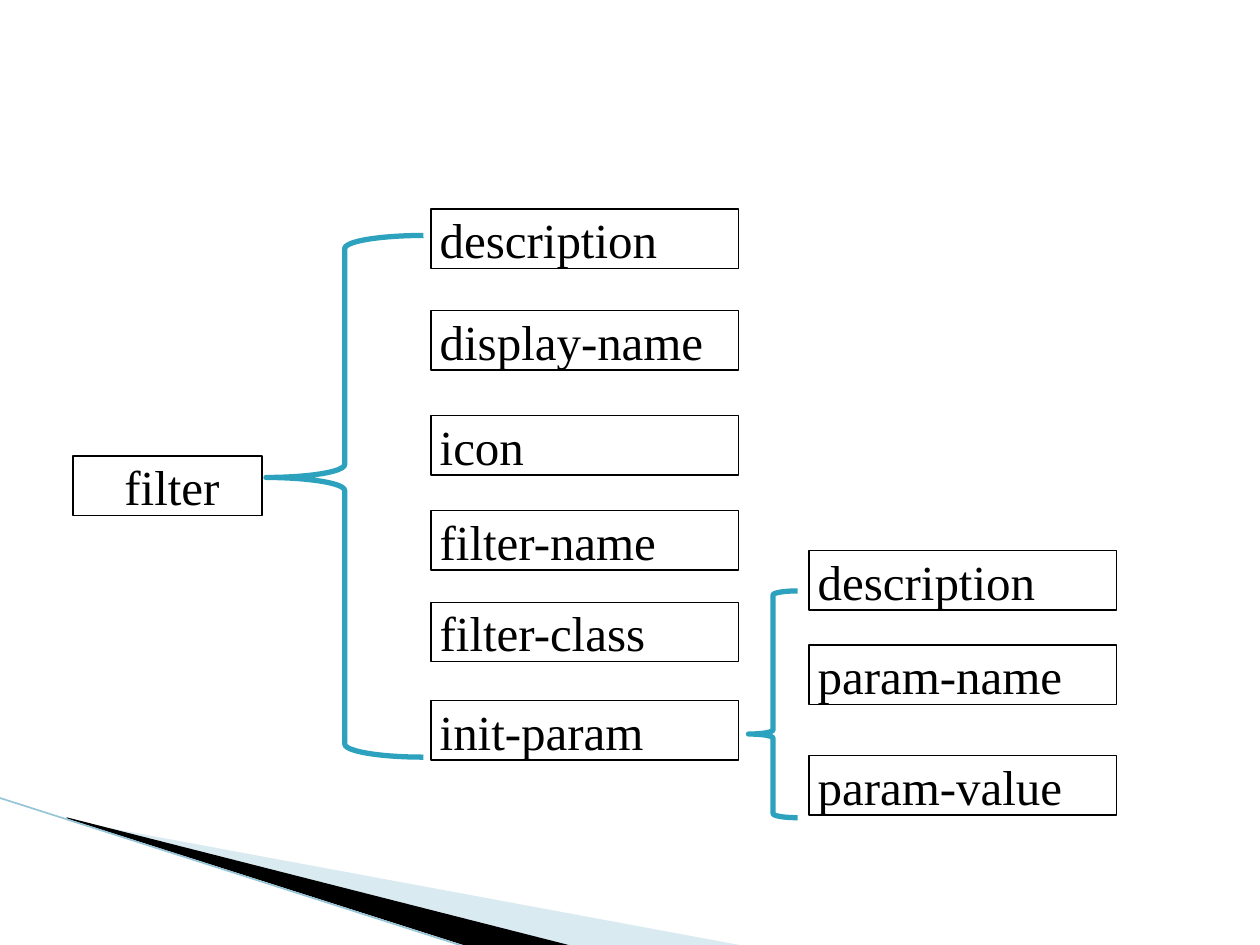
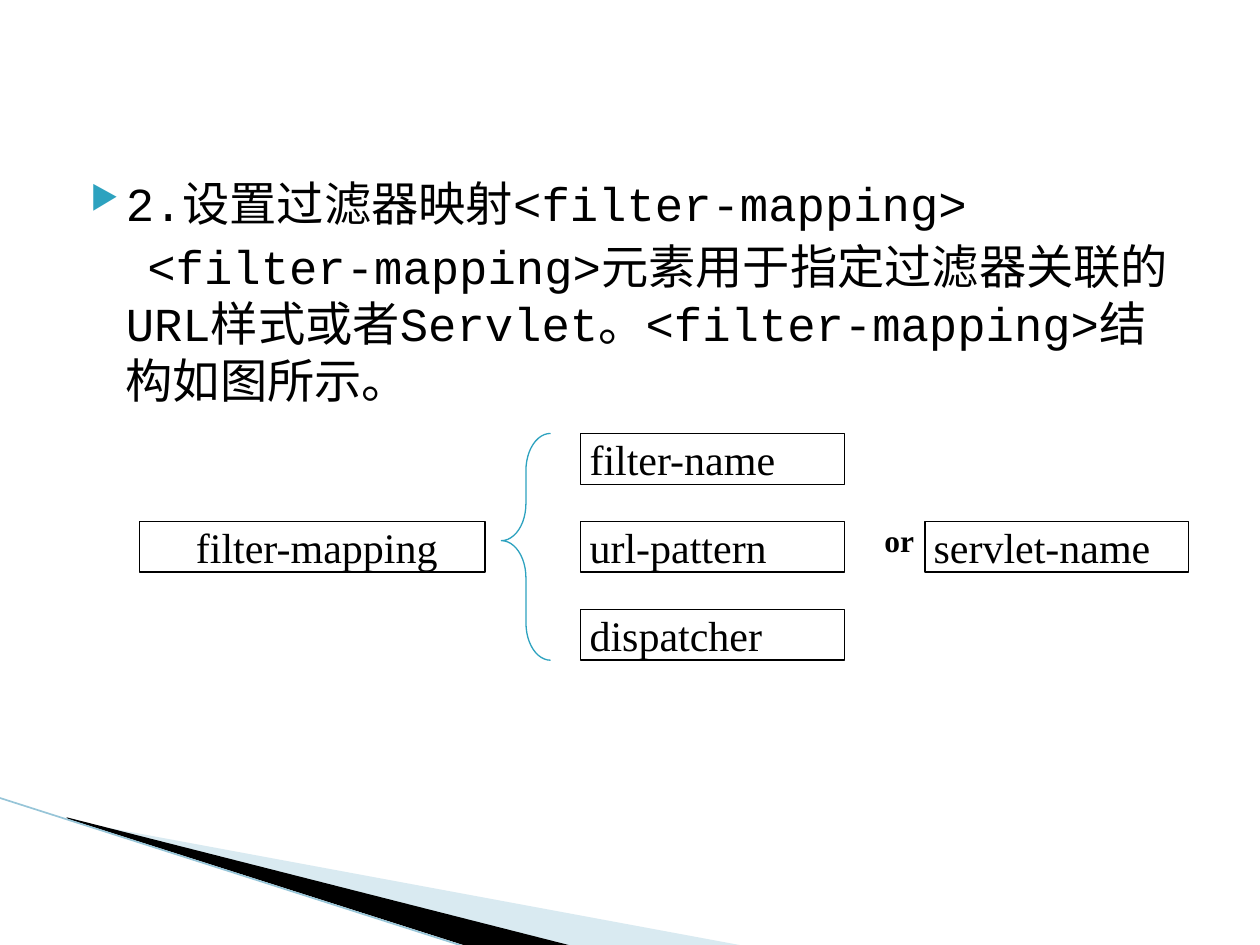
from pptx import Presentation
from pptx.util import Pt
from pptx.dml.color import RGBColor
from pptx.enum import shapes, text
from lxml import etree

HUES = {"ink": "000000", "teal": "2DA2BF", "pale": "A0CBDC", "edge": "97C5D8"}
SERIF, MONO = "Times New Roman", "Courier New"
NS = "http://schemas.openxmlformats.org/drawingml/2006/main"


def hue(name):
    return RGBColor.from_string(HUES[name])


def sub(node, tag, **attrs):
    return etree.SubElement(node, f"{{{NS}}}{tag}", attrs)


def indent(par, left, first):
    props = par._p.get_or_add_pPr()
    props.set("marL", str(Pt(left)))
    props.set("indent", str(Pt(first)))
    return props


def style(par, face, size, bold=False):
    for run in par.runs:
        run.font.name = face
        run.font.size = Pt(size)
        run.font.bold = bold
        run.font.color.rgb = hue("ink")


def write(shape, words, size, first=5, center=False, bold=False):
    frame = shape.text_frame
    frame.margin_left = frame.margin_right = 0
    frame.margin_top = frame.margin_bottom = 0
    frame.word_wrap = True
    frame.vertical_anchor = text.MSO_ANCHOR.BOTTOM
    frame.text = words
    par = frame.paragraphs[0]
    par.alignment = text.PP_ALIGN.CENTER if center else text.PP_ALIGN.LEFT
    indent(par, 0, first)
    style(par, SERIF, size, bold)


def outline(slide, kind, box, color, width):
    shape = slide.shapes.add_shape(kind, *map(Pt, box))
    shape.shadow.inherit = False
    shape.fill.background()
    shape.line.color.rgb = hue(color)
    shape.line.width = Pt(width)
    return shape


def label(slide, box, words, size, center=False):
    shape = outline(slide, shapes.MSO_SHAPE.RECTANGLE, box, "ink", 0.75)
    write(shape, words, size, center=center)


def column(slide, box, items, size):
    left, top, width, height = box
    for drop, words in items:
        label(slide, (left, top + drop, width, height), words, size)


def brace(slide, box, curve, tip, width):
    shape = outline(slide, shapes.MSO_SHAPE.LEFT_BRACE, box, "teal", width)
    shape.adjustments[0] = curve
    shape.adjustments[1] = tip


def wedge(slide, points, color, alpha=None):
    pen = slide.shapes.build_freeform(*points[0], scale=Pt(1))
    pen.add_line_segments(points[1:], close=True)
    shape = pen.convert_to_shape()
    shape.shadow.inherit = False
    shape.fill.solid()
    shape.fill.fore_color.rgb = hue(color)
    shape.line.fill.background()
    if alpha:
        tone = shape._element.spPr.find(f".//{{{NS}}}srgbClr")
        sub(tone, "alpha", val=str(alpha * 1000))


def swoosh(slide):
    wedge(slide, [(39.6, 468.7), (428.4, 540.7), (328.3, 540.7), (39.6, 468)],
          "pale", 40)
    wedge(slide, [(38.2, 467.3), (329, 540.7), (267.8, 541.4), (38.9, 468)], "ink")
    line = slide.shapes.add_connector(
        shapes.MSO_CONNECTOR.STRAIGHT, *map(Pt, (-0.7, 455.8, 267.1, 541.4)))
    line.line.color.rgb = hue("edge")
    line.line.width = Pt(0.95)
    sub(line._element.spPr, "effectLst")


def body(slide, box, lines):
    frame = slide.shapes.add_textbox(*map(Pt, box)).text_frame
    frame.word_wrap = True
    frame.text = "\n".join(lines)
    head, note = frame.paragraphs
    for par in (head, note):
        par.space_before = Pt(4)
        style(par, MONO, 27)
    props = indent(head, 28.8, -20.2)
    sub(sub(props, "buClr"), "srgbClr", val=HUES["teal"])
    sub(props, "buSzPct", val="68000")
    sub(props, "buChar", char="▶")
    indent(note, 28.8, 12.4)


def tree(slide, left, top):
    high, wide = 34, 175.7
    label(slide, (left, top + 141.1, 108, high), "filter", 28, True)
    brace(slide, (left + 110.2, top + 15.1, 90, 298.1), 0.083, 0.464, 3)
    column(slide, (left + 204.5, top, wide, high), [
        (0, "description"), (58, "display-name"), (118, "icon"),
        (172.3, "filter-name"), (224.6, "filter-class"), (280.8, "init-param")], 28)
    brace(slide, (left + 385.9, top + 218.2, 28.1, 129.6), 0.083, 0.631, 3)
    column(slide, (left + 420.5, top + 195.1, wide, high), [
        (0, "description"), (54, "param-name"), (117.2, "param-value")], 28)


def mapping(slide, left, top):
    high, wide, step = 29, 150.5, 50.2
    label(slide, (left, top + step, 197.3, high), "filter-mapping", 24, True)
    brace(slide, (left + 206.6, top, 28.1, 129.6), 0.757, 0.473, 0.75)
    names = ["filter-name", "url-pattern", "dispatcher"]
    column(slide, (left + 252, top, wide, high),
           [(i * step, name) for i, name in enumerate(names)], 24)
    label(slide, (left + 448.6, top + step, wide, high), "servlet-name", 24)
    joint = slide.shapes.add_textbox(
        *map(Pt, (left + 403.9, top + step, 46.1, 21.6)))
    write(joint, "or", 18, first=21.6, bold=True)


deck = Presentation()
deck.slide_width, deck.slide_height = Pt(720), Pt(540)


def page():
    slide = deck.slides.add_slide(deck.slide_layouts[6])
    swoosh(slide)
    return slide


tree(page(), 41.8, 119.5)

second = page()
body(second, (36, 95.8, 648, 388.8), [
    "2.设置过滤器映射<filter-mapping>",
    "<filter-mapping>元素用于指定过滤器关联的URL样式或者Servlet。"
    "<filter-mapping>结构如图所示。"])
mapping(second, 79.9, 247.7)

deck.save("out.pptx")
